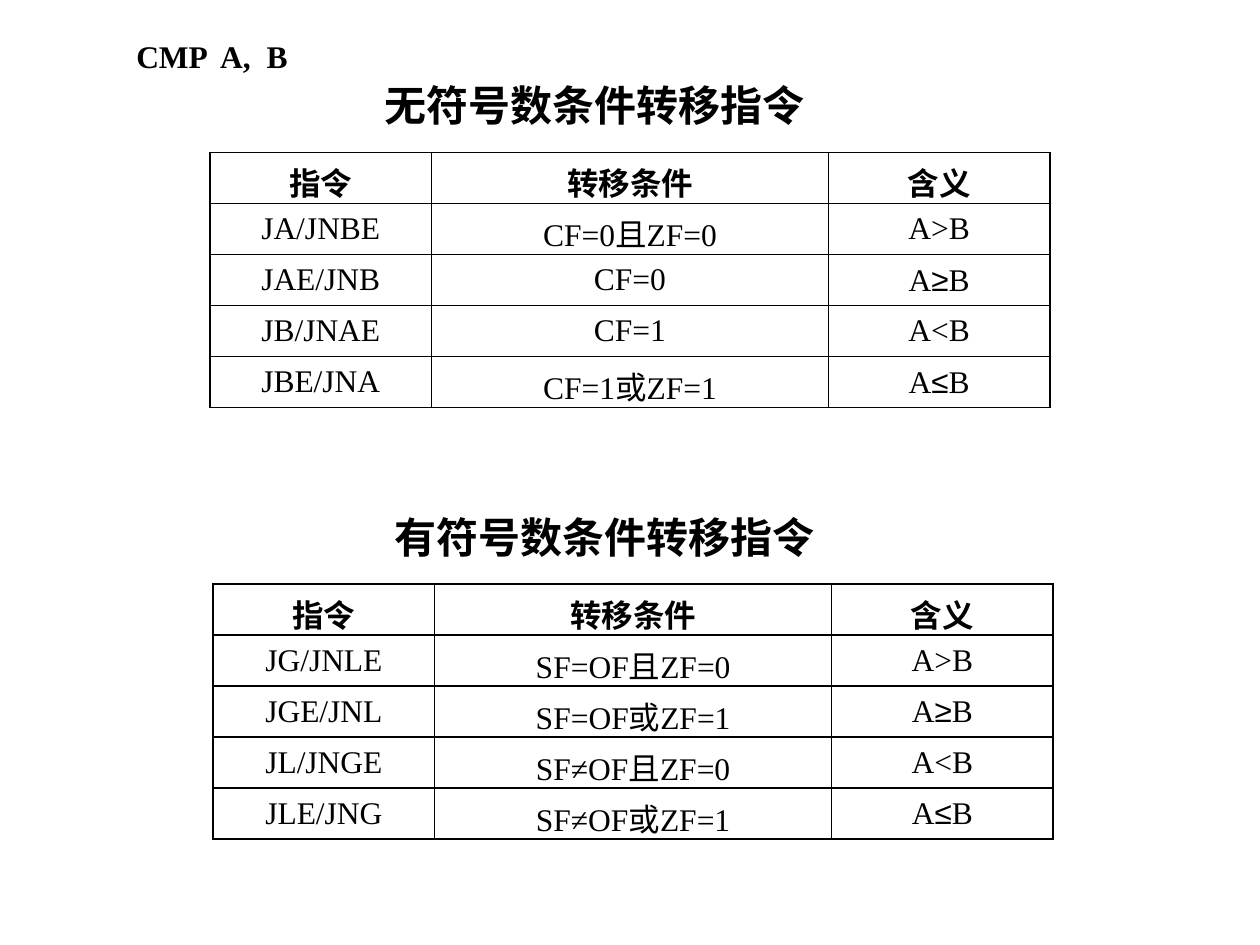
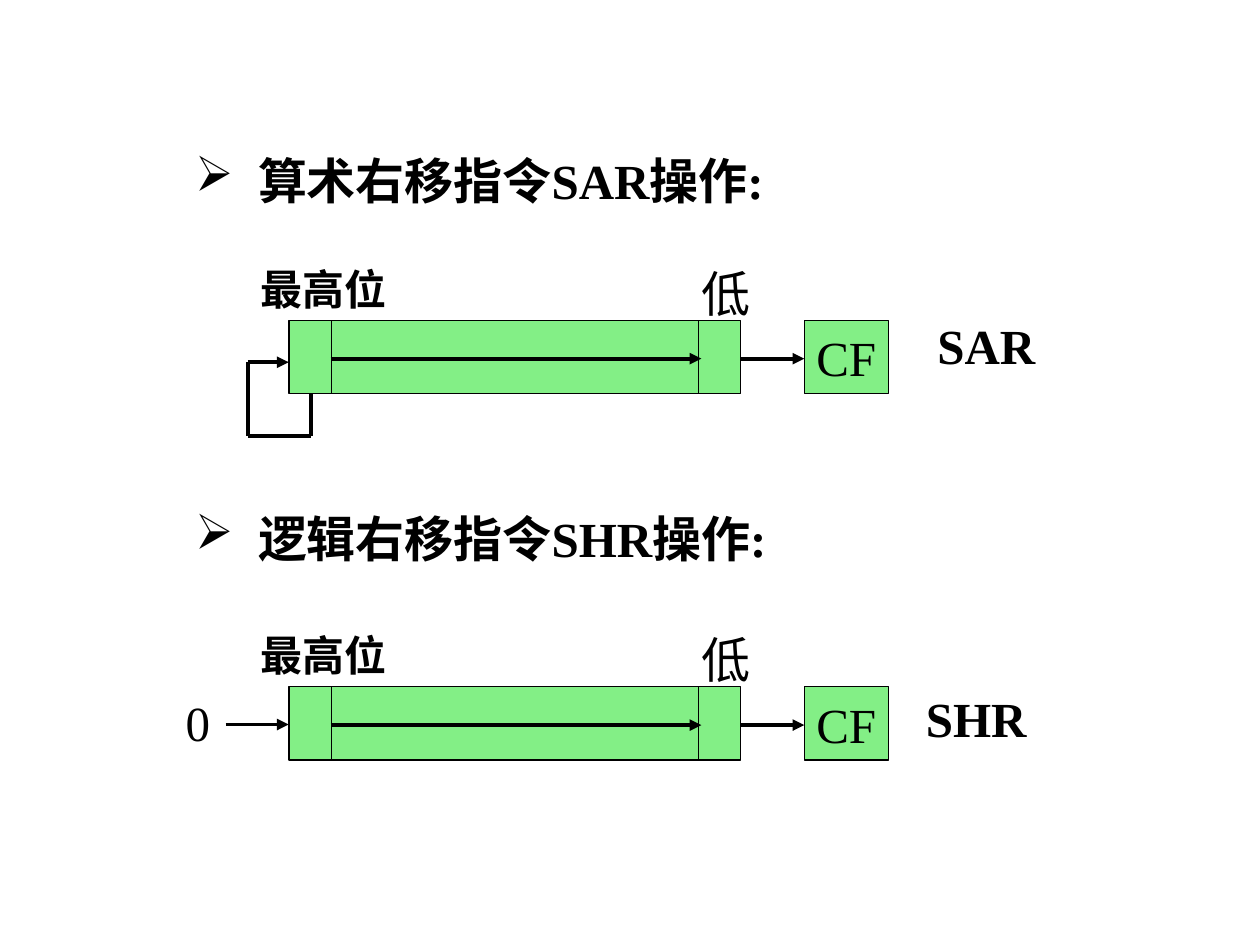
from itertools import groupby, pairwise

from lxml.etree import SubElement
from pptx import Presentation
from pptx.dml.color import RGBColor
from pptx.enum.shapes import MSO_CONNECTOR, MSO_SHAPE
from pptx.enum.text import MSO_ANCHOR, PP_ALIGN
from pptx.oxml.ns import qn
from pptx.util import Inches, Pt

BLACK, WHITE, GREEN = "000000", "FFFFFF", "83EF86"
TIMES, CALIBRI, ARIAL = "Times New Roman", "Calibri", "Arial"
GRID = Inches(10) / 60  # 60 columns by 45 rows of square cells


def cells(n):
    """Length of n grid cells."""
    return round(n * GRID)


def rgb(value):
    return RGBColor.from_string(value)


class Deck:
    """Shared style plus the slide being drawn."""

    def __init__(self):
        self.prs = Presentation()
        self.prs.slide_width, self.prs.slide_height = cells(60), cells(45)
        self.s = None

    def new_slide(self):
        self.s = self.prs.slides.add_slide(self.prs.slide_layouts[6])

    def run(self, p, text, size, bold=False, font=TIMES):
        r = p.add_run()
        r.text = text
        r.font.name, r.font.size, r.font.bold = font, Pt(size), bold
        r.font.color.rgb = rgb(BLACK)

    def text(self, x, y, w, h, text, size, bold=True, font=TIMES, bullet=None):
        sp = self.s.shapes.add_textbox(*map(cells, (x, y, w, h)))
        sp.text_frame.word_wrap = True
        p = sp.text_frame.paragraphs[0]
        if bullet:
            pPr = p._p.get_or_add_pPr()
            pPr.set("marL", str(cells(3)))
            pPr.set("indent", str(-cells(3)))
            SubElement(pPr, qn("a:buChar"), char=bullet)
        self.run(p, text, size, bold, font)

    def box(self, x, y, w, h, text=""):
        sp = self.s.shapes.add_shape(MSO_SHAPE.RECTANGLE, *map(cells, (x, y, w, h)))
        sp.shadow.inherit = False
        sp.fill.solid()
        sp.fill.fore_color.rgb = rgb(GREEN)
        sp.line.color.rgb = rgb(BLACK)
        sp.line.width = Pt(0.75)
        if text:
            tf = sp.text_frame
            tf.word_wrap = False
            tf.vertical_anchor = MSO_ANCHOR.MIDDLE
            p = tf.paragraphs[0]
            p.alignment = PP_ALIGN.CENTER
            self.run(p, text, 28)

    def line(self, start, end, width=2.25, arrow=False):
        c = self.s.shapes.add_connector(
            MSO_CONNECTOR.STRAIGHT, *map(cells, (*start, *end)))
        c.line.color.rgb = rgb(BLACK)
        c.line.width = Pt(width)
        if arrow:
            SubElement(c.line._get_or_add_ln(), qn("a:tailEnd"), type="triangle")
        SubElement(c._element.spPr, qn("a:effectLst"))

    def cell(self, cell, text, bold):
        cell.vertical_anchor = MSO_ANCHOR.MIDDLE
        cell.margin_top = cell.margin_bottom = Inches(0.05)
        if any("一" <= ch <= "龥" for ch in text):
            cell.margin_bottom = 0  # taller script needs the whole row
        p = cell.text_frame.paragraphs[0]
        p.alignment = PP_ALIGN.CENTER
        for is_sign, part in groupby(text, key=lambda ch: ch in "≥≤"):
            self.run(p, "".join(part), 18, bold, ARIAL if is_sign else TIMES)
        tcPr = cell._tc.get_or_add_tcPr()
        for side in ("lnL", "lnR", "lnT", "lnB"):
            ln = SubElement(tcPr, qn(f"a:{side}"), w=str(Pt(1)))
            SubElement(SubElement(ln, qn("a:solidFill")), qn("a:srgbClr"), val=BLACK)
        cell.fill.solid()
        cell.fill.fore_color.rgb = rgb(WHITE)

    def table(self, x, y, col_widths, row_height, rows):
        table = self.s.shapes.add_table(
            len(rows), len(col_widths), cells(x), cells(y),
            cells(sum(col_widths)), cells(row_height * len(rows))).table
        table.first_row = table.horz_banding = False
        for col, width in zip(table.columns, col_widths):
            col.width = cells(width)
        for i, row in enumerate(rows):
            table.rows[i].height = cells(row_height)
            for j, text in enumerate(row):
                self.cell(table.cell(i, j), text, bold=i == 0)

    def jump_table(self, title, title_at, table_at, jumps):
        """Title and table of conditional jumps."""
        self.text(*title_at, 22, 3, title, 24, font=CALIBRI)
        header = ("指令", "转移条件", "含义")
        meanings = ("A>B", "A≥B", "A<B", "A≤B")
        rows = [header] + [(*jump, m) for jump, m in zip(jumps, meanings)]
        self.table(*table_at, (10.55, 18.9, 10.55), 2.43, rows)

    def shift_register(self, top, name, name_at):
        """Register shifting right into the carry flag."""
        left, width, height, mid = 13.77, 21.5, 3.5, top + 1.83
        right, flag = left + width, 38.3
        low_bit = 33.25
        self.box(left, top, width, height)
        for x in (15.8, low_bit):
            self.line((x, top), (x, top + height), 0.75)
        self.line((15.75, mid), (33.4, mid), arrow=True)
        self.text(32.8, top - 3, 3, 3.4, "低", 28, bold=False)
        self.text(11.8, top - 3, 8, 3, "最高位", 24)
        self.box(flag, top, 4, height, "CF")
        self.line((right, mid), (flag, mid), arrow=True)
        self.text(*name_at, 6.3, 3.4, name, 28)

    def heading(self, y, width, text):
        self.text(8.7, y, width, 3.4, text, 28, bullet="➢")


def jumps_slide(deck):
    deck.new_slide()
    deck.jump_table("无符号数条件转移指令", (17.7, 3.5), (10, 7.27), (
        ("JA/JNBE", "CF=0且ZF=0"),
        ("JAE/JNB", "CF=0"),
        ("JB/JNAE", "CF=1"),
        ("JBE/JNA", "CF=1或ZF=1"),
    ))
    deck.jump_table("有符号数条件转移指令", (18.2, 24.07), (10.15, 27.82), (
        ("JG/JNLE", "SF=OF且ZF=0"),
        ("JGE/JNL", "SF=OF或ZF=1"),
        ("JL/JNGE", "SF≠OF且ZF=0"),
        ("JLE/JNG", "SF≠OF或ZF=1"),
    ))
    deck.text(5.9, 1.45, 9, 2.4, "CMP  A,  B", 18)


def shifts_slide(deck):
    deck.new_slide()
    sar, shr = 15.25, 32.7
    deck.shift_register(shr, "SHR", (43.5, 32.5))
    deck.text(8.25, shr, 3, 3.4, "0", 28, bold=False)
    deck.line((10.75, shr + 1.8), (13.75, shr + 1.8), arrow=True)

    deck.shift_register(sar, "SAR", (44.05, 14.75))
    sign_loop = [(14.8, sar + 3.5), (14.8, sar + 5.5), (11.8, sar + 5.5),
                 (11.8, sar + 2), (13.75, sar + 2)]
    for start, end in pairwise(sign_loop):
        deck.line(start, end, arrow=end == sign_loop[-1])

    deck.heading(6.85, 30.5, "算术右移指令SAR操作:")
    deck.heading(23.9, 28.3, "逻辑右移指令SHR操作:")


def main():
    deck = Deck()
    jumps_slide(deck)
    shifts_slide(deck)
    deck.prs.save("out.pptx")


if __name__ == "__main__":
    main()
